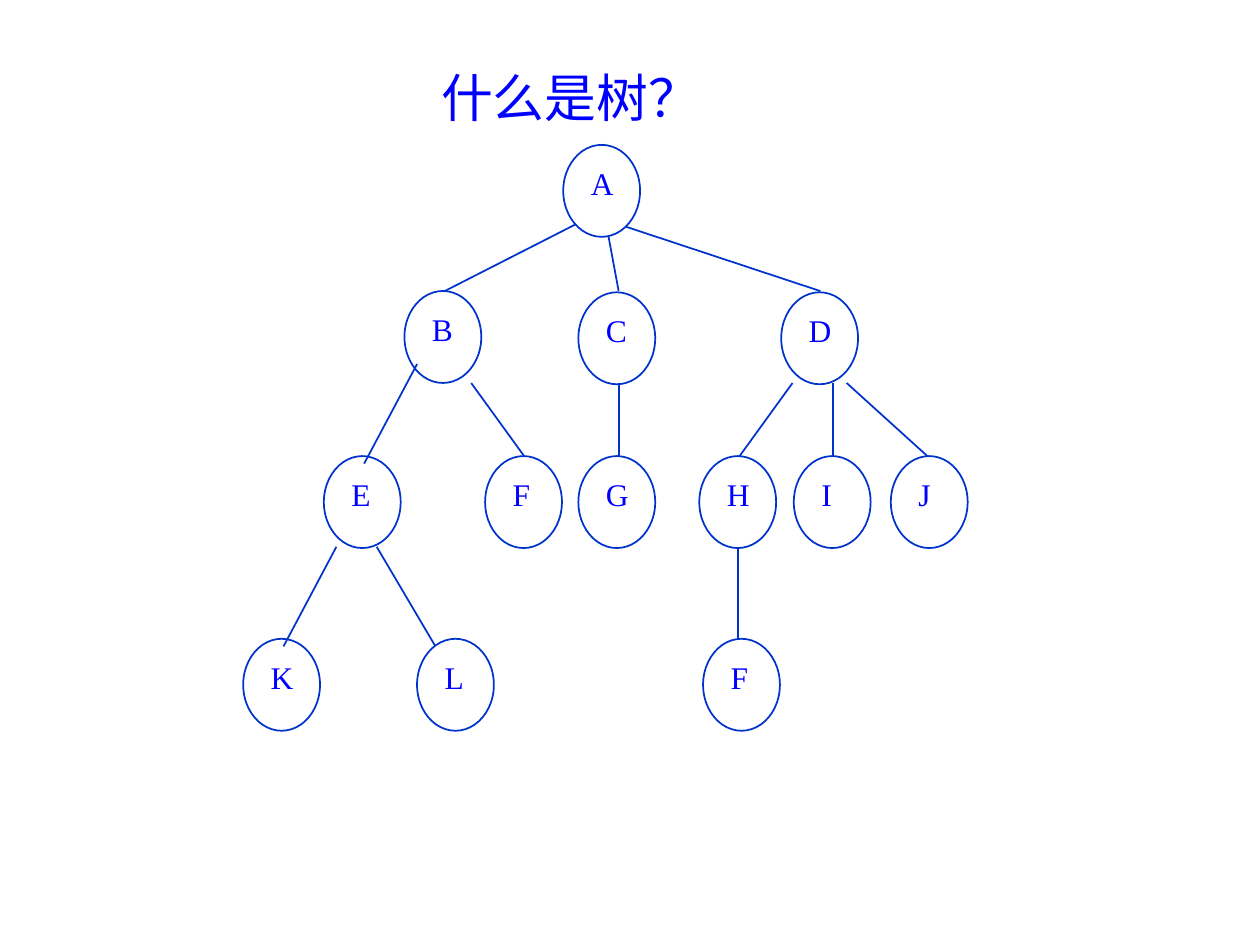
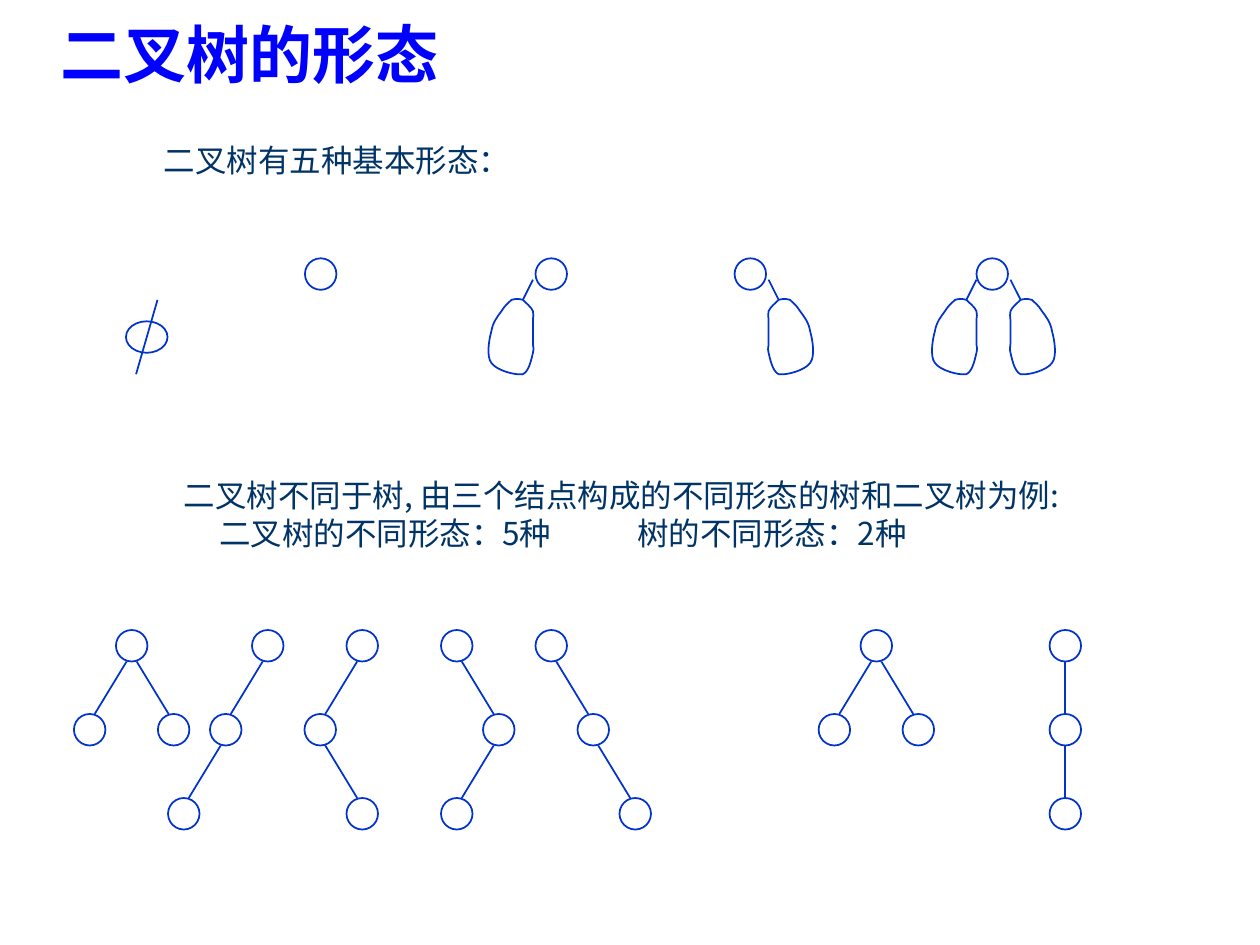
from dataclasses import dataclass

from lxml import etree
from pptx import Presentation
from pptx.dml.color import RGBColor
from pptx.enum.shapes import MSO_CONNECTOR, MSO_SHAPE
from pptx.enum.text import MSO_ANCHOR, MSO_AUTO_SIZE, PP_ALIGN
from pptx.oxml.ns import qn
from pptx.util import Inches, Pt

STRAIGHT = MSO_CONNECTOR.STRAIGHT
OVAL = MSO_SHAPE.OVAL
LEFT, CENTER = PP_ALIGN.LEFT, PP_ALIGN.CENTER
TOP, MIDDLE, BOTTOM = MSO_ANCHOR.TOP, MSO_ANCHOR.MIDDLE, MSO_ANCHOR.BOTTOM
NO_AUTOFIT = MSO_AUTO_SIZE.NONE


@dataclass(frozen=True)
class Theme:
    stroke: str = "0033CC"
    accent: str = "0000FF"
    body: str = "003366"
    line_width: float = 1
    tree_title_size: float = 29.6
    title_size: float = 36
    text_size: float = 18
    serif: str = "Times New Roman"
    sans: str = "Arial"
    chinese: str = "Noto Sans CJK SC"


THEME = Theme()
TITLE_ONLY = 5

TREE_TITLE = "什么是树？"
TREE_LEVELS = [
    (1.15, [("A", 4.47)]),
    (2.31, [("B", 3.21)]),
    (2.32, [("C", 4.59), ("D", 6.2)]),
    (3.62, [("E", 2.57), ("F", 3.85), ("G", 4.59), ("H", 5.55), ("I", 6.3), ("J", 7.07)]),
    (5.07, [("K", 1.93), ("L", 3.31), ("F", 5.58)]),
]
TREE_EDGES = [
    ((4.57, 1.78), (3.53, 2.31)),
    ((4.83, 1.88), (4.91, 2.31)),
    ((4.97, 1.8), (6.51, 2.31)),
    ((3.31, 2.89), (2.89, 3.68)),
    ((3.74, 3.04), (4.16, 3.62)),
    ((4.91, 3.04), (4.91, 3.62)),
    ((6.29, 3.04), (5.87, 3.62)),
    ((6.61, 3.04), (6.61, 3.62)),
    ((6.72, 3.04), (7.36, 3.62)),
    ((2.67, 4.34), (2.25, 5.13)),
    ((2.99, 4.34), (3.45, 5.12)),
    ((5.86, 4.34), (5.86, 5.07)),
]

FORMS_TITLE = "二叉树的形态"
BASIC_FORMS = "二叉树有五种基本形态："
COMPARISON = [
    "二叉树不同于树, 由三个结点构成的不同形态的树和二叉树为例:",
    "\t二叉树的不同形态：5种\t树的不同形态：2种",
]
COMPARISON_TABS = (0.28, 3.6)
BASIC_ROOTS = [2.42, 4.25, 5.83, 7.75]
SUBTREES = [(4.15, -1), (6.18, 1), (7.67, -1), (8.1, 1)]
SUBTREE_CURVES = [
    ((0.03, -0.01), (0.06, -0.01), (0.09, 0)),
    ((0.11, 0.02), (0.14, 0.04), (0.17, 0.09)),
    ((0.2, 0.13), (0.24, 0.18), (0.25, 0.25)),
    ((0.27, 0.32), (0.29, 0.45), (0.25, 0.5)),
    ((0.21, 0.56), (0.06, 0.6), (0, 0.59)),
    ((-0.05, 0.57), (-0.07, 0.46), (-0.08, 0.42)),
    ((-0.09, 0.38), (-0.08, 0.38), (-0.08, 0.34)),
    ((-0.08, 0.29), (-0.08, 0.21), (-0.08, 0.17)),
    ((-0.08, 0.13), (-0.09, 0.11), (-0.08, 0.09)),
    ((-0.07, 0.06), (-0.02, 0.02), (0, 0)),
]
FORK = [((0, 0), (-1, 1)), ((0, 0), (1, 1))]
THREE_NODE_TREES = [
    (0.92, FORK),
    (2, [((0, 0), (-1, 1)), ((-1, 1), (-2, 2))]),
    (2.75, [((0, 0), (-1, 1)), ((-1, 1), (0, 2))]),
    (3.5, [((0, 0), (1, 1)), ((1, 1), (0, 2))]),
    (4.25, [((0, 0), (1, 1)), ((1, 1), (2, 2))]),
    (6.83, FORK),
    (8.33, [((0, 0), (0, 1)), ((0, 1), (0, 2))]),
]
NODE = 0.25
COLUMN_STEP = 1 / 3
ROW_STEP = 2 / 3
TREES_TOP = 5
EDGE_SHIFT = 0.04


def write(box, lines, size, color, font=THEME.sans, bold=False, align=LEFT,
          anchor=TOP, spacing=1, tabs=()):
    frame = box.text_frame
    frame.word_wrap = True
    frame.auto_size = NO_AUTOFIT
    frame.vertical_anchor = anchor
    para = frame.paragraphs[0]
    para.alignment = align
    para.line_spacing = spacing
    if tabs:
        stops = etree.SubElement(para._p.get_or_add_pPr(), qn("a:tabLst"))
        for position in tabs:
            etree.SubElement(stops, qn("a:tab"), pos=str(Inches(position)), algn="l")
    for index, line in enumerate(lines):
        if index:
            para.add_line_break()
        span = para.add_run()
        span.text = line
        span.font.size = Pt(size)
        span.font.name = font
        span.font.bold = bold
        span.font.color.rgb = RGBColor.from_string(color)
        east_asian = etree.SubElement(span.font._element, qn("a:ea"))
        east_asian.set("typeface", THEME.chinese)


def add_text(slide, left, top, width, height, lines, **style):
    box = slide.shapes.add_textbox(*map(Inches, (left, top, width, height)))
    write(box, lines, THEME.text_size, **style)


def add_titled_slide(deck, text, area, size, **style):
    slide = deck.slides.add_slide(deck.slide_layouts[TITLE_ONLY])
    title = slide.shapes.title
    title.left, title.top, title.width, title.height = map(Inches, area)
    write(title, [text], size, THEME.accent, align=CENTER, **style)
    return slide


def stroke(line):
    line.color.rgb = RGBColor.from_string(THEME.stroke)
    line.width = Pt(THEME.line_width)


def outline(shape):
    shape.shadow.inherit = False
    shape.fill.background()
    stroke(shape.line)


def add_node(slide, left, top, width=NODE, height=NODE):
    outline(slide.shapes.add_shape(OVAL, *map(Inches, (left, top, width, height))))


def add_edge(slide, start, end):
    edge = slide.shapes.add_connector(STRAIGHT, *map(Inches, (*start, *end)))
    stroke(edge.line)
    etree.SubElement(edge._element.spPr, qn("a:effectLst"))


def bend_segments(shape):
    segments = list(shape._element.iter(qn("a:lnTo")))
    for index in range(0, len(segments), 3):
        curve = etree.Element(qn("a:cubicBezTo"))
        segments[index].addprevious(curve)
        for segment in segments[index:index + 3]:
            curve.append(segment[0])
            segment.getparent().remove(segment)


def add_subtree(slide, joint, side, top=2.38):
    add_edge(slide, (joint - 0.08 * side, 2.22), (joint, top))
    points = [(Inches(joint + side * x), Inches(top + y))
              for curve in SUBTREE_CURVES for x, y in curve]
    builder = slide.shapes.build_freeform(Inches(joint), Inches(top))
    builder.add_line_segments(points, close=True)
    subtree = builder.convert_to_shape()
    bend_segments(subtree)
    outline(subtree)


def add_three_node_tree(slide, root_left, edges):
    def corner(node):
        return root_left + node[0] * COLUMN_STEP, TREES_TOP + node[1] * ROW_STEP

    for node in sorted({node for edge in edges for node in edge}):
        add_node(slide, *corner(node))
    for parent, child in edges:
        shift = EDGE_SHIFT * (child[0] - parent[0])
        (parent_x, parent_y), (child_x, child_y) = corner(parent), corner(child)
        add_edge(slide, (parent_x + NODE / 2 + shift, parent_y + NODE),
                 (child_x + NODE / 2 - shift, child_y))


def build_tree_slide(deck):
    slide = add_titled_slide(deck, TREE_TITLE, (1.93, 0.44, 5.2, 0.63), THEME.tree_title_size,
                             font=THEME.chinese, anchor=BOTTOM, spacing=0.9)
    for top, nodes in TREE_LEVELS:
        for letter, left in nodes:
            add_node(slide, left, top, 0.61, 0.73)
            add_text(slide, left + 0.12, top + 0.1, 0.38, 0.4, [letter],
                     color=THEME.accent, font=THEME.serif)
    for start, end in TREE_EDGES:
        add_edge(slide, start, end)


def build_forms_slide(deck):
    slide = add_titled_slide(deck, FORMS_TITLE, (0, 0.05, 3.96, 0.75), THEME.title_size,
                             bold=True, anchor=MIDDLE)
    add_text(slide, 1.2, 1.07, 3, 0.4, [BASIC_FORMS], color=THEME.body)
    add_node(slide, 1, 2.55, 0.33, 0.25)
    add_edge(slide, (1.25, 2.38), (1.08, 2.97))
    for left in BASIC_ROOTS:
        add_node(slide, left, 2.05)
    for joint, side in SUBTREES:
        add_subtree(slide, joint, side)
    add_text(slide, 1.36, 3.73, 7.58, 0.7, COMPARISON, color=THEME.body,
             font=THEME.chinese, tabs=COMPARISON_TABS)
    for root_left, edges in THREE_NODE_TREES:
        add_three_node_tree(slide, root_left, edges)


def main():
    deck = Presentation()
    deck.slide_width, deck.slide_height = Inches(10), Inches(7.5)
    build_tree_slide(deck)
    build_forms_slide(deck)
    deck.save("out.pptx")


if __name__ == "__main__":
    main()
